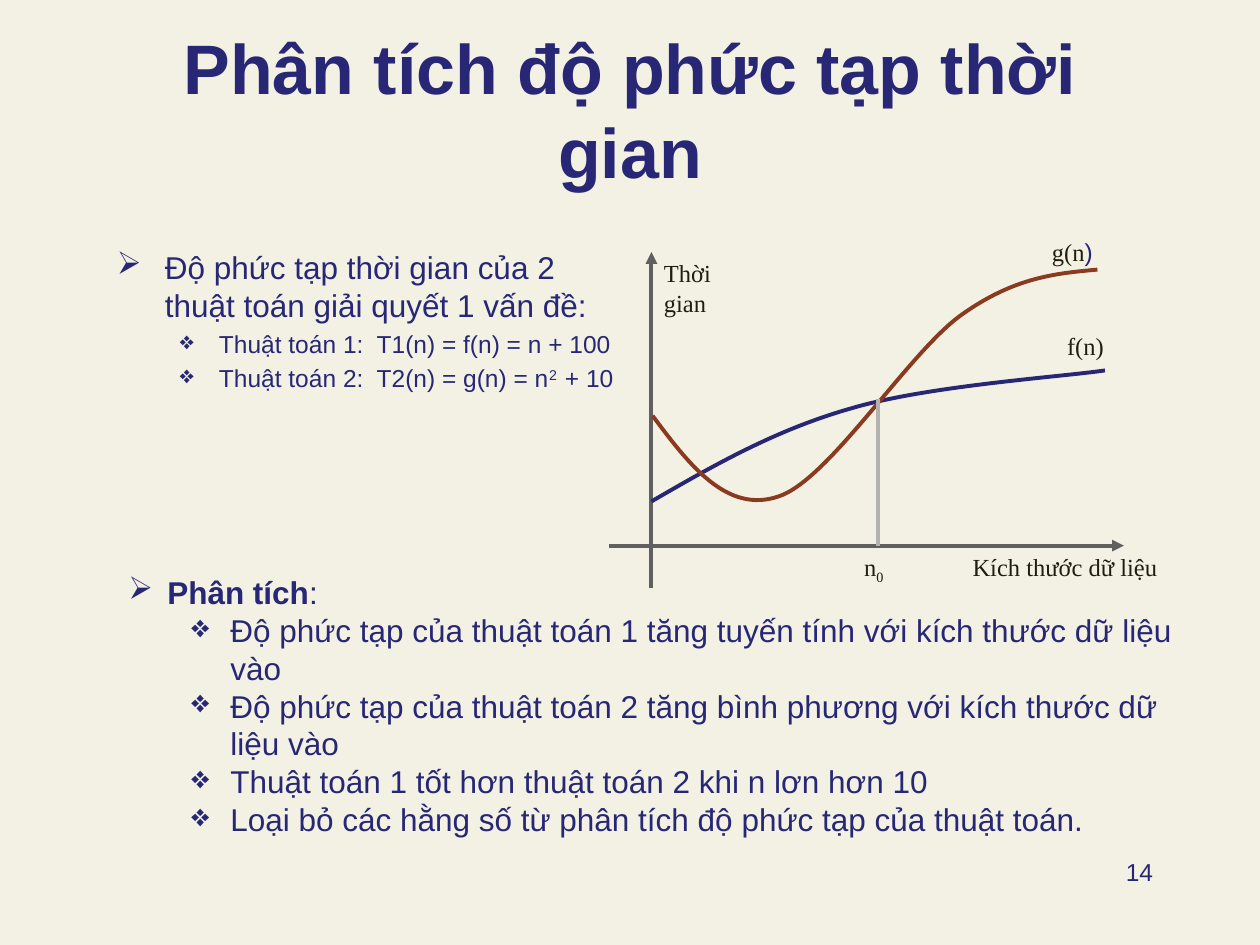
from lxml.etree import SubElement
from pptx import Presentation
from pptx.dml.color import RGBColor
from pptx.enum.shapes import MSO_CONNECTOR
from pptx.enum.text import MSO_ANCHOR, MSO_AUTO_SIZE, PP_ALIGN
from pptx.oxml.ns import qn
from pptx.util import Inches, Pt

BACKGROUND, NAVY, INK = "F3F1E4", "272776", "201E0E"
AXIS, BROWN, MARKER = "606060", "893A1F", "B2B2B2"
SERIF = "Times New Roman"
ARROW, DIAMOND = "➢", "❖"

ANALYSIS = [
    "Độ phức tạp của thuật toán 1 tăng tuyến tính với kích thước dữ liệu vào",
    "Độ phức tạp của thuật toán 2 tăng bình phương với kích thước dữ liệu vào",
    "Thuật toán 1 tốt hơn thuật toán 2 khi n lơn hơn 10",
    "Loại bỏ các hằng số từ phân tích độ phức tạp của thuật toán.",
]
# Start point, then two control points and an end point per Bézier segment
F_CURVE = [(5.17, 3.98), (5.67, 3.69), (6.16, 3.41), (6.76, 3.24),
           (7.37, 3.06), (8.44, 2.99), (8.77, 2.94)]
G_CURVE = [(5.18, 3.3), (5.47, 3.69), (5.77, 4.08), (6.18, 3.94),
           (6.58, 3.81), (7.21, 2.8), (7.63, 2.5),
           (8.05, 2.2), (8.38, 2.17), (8.71, 2.14)]


def color(hex_string):
    return RGBColor.from_string(hex_string)


def add_run(paragraph, text, size=14, font="Arial", fill=NAVY, bold=False, baseline=0):
    """Append a run; baseline is a percentage, positive for superscript."""
    run = paragraph.add_run()
    run.text = text
    run.font.size, run.font.name, run.font.bold = Pt(size), font, bold
    run.font.color.rgb = color(fill)
    if baseline:
        run.font._element.set("baseline", str(baseline * 1000))


def add_text_box(slide, left, top, width, height, wrap=True):
    box = slide.shapes.add_textbox(*map(Inches, (left, top, width, height)))
    box.text_frame.word_wrap = wrap
    return box.text_frame


def add_bullet(frame, character, runs, size, level=0, indent=0.31, before=0):
    """Add a bulleted paragraph from (text, format) pairs."""
    first = frame.paragraphs[0]
    paragraph = frame.add_paragraph() if first.runs else first
    paragraph.level = level
    paragraph.space_before = Pt(before)
    properties = paragraph._p.get_or_add_pPr()
    properties.set("marL", str(Inches(indent + 0.5 * level)))
    properties.set("indent", str(-Inches(indent)))
    bullet_color = SubElement(properties, qn("a:buClr"))
    SubElement(bullet_color, qn("a:srgbClr"), val=NAVY)
    SubElement(properties, qn("a:buChar"), char=character)
    for text, style in runs:
        add_run(paragraph, text, size=size, **style)


def add_label(slide, left, top, width, height, text, wrap=False):
    paragraph = add_text_box(slide, left, top, width, height, wrap).paragraphs[0]
    add_run(paragraph, text, font=SERIF, fill=INK)
    return paragraph


def style_line(line, stroke):
    line.color.rgb = color(stroke)
    line.width = Pt(2.25)


def add_line(slide, start, end, stroke, arrow=False):
    connector = slide.shapes.add_connector(
        MSO_CONNECTOR.STRAIGHT, *map(Inches, (*start, *end)))
    style_line(connector.line, stroke)
    if arrow:
        SubElement(connector.line._get_or_add_ln(), qn("a:tailEnd"), type="triangle")
    SubElement(connector._element.spPr, qn("a:effectLst"))


def add_curve(slide, points, stroke):
    """Draw an open path of cubic Bézier segments."""
    (start_x, start_y), *rest = [(Inches(x), Inches(y)) for x, y in points]
    builder = slide.shapes.build_freeform(start_x, start_y)
    builder.add_line_segments(rest, close=False)
    shape = builder.convert_to_shape()
    shape.shadow.inherit = False
    shape.fill.background()
    style_line(shape.line, stroke)
    outline = next(shape._element.iter(qn("a:path")))
    segments = outline.findall(qn("a:lnTo"))
    for index in range(0, len(segments), 3):
        cubic = SubElement(outline, qn("a:cubicBezTo"))
        for segment in segments[index:index + 3]:
            cubic.append(segment[0])
            outline.remove(segment)


def add_title(slide, text):
    title = slide.shapes.title
    title.left, title.top, title.width, title.height = map(Inches, (0.75, 0.5, 8.5, 1.08))
    frame = title.text_frame
    frame.auto_size = MSO_AUTO_SIZE.NONE
    frame.vertical_anchor = MSO_ANCHOR.BOTTOM
    frame.paragraphs[0].alignment = PP_ALIGN.CENTER
    add_run(frame.paragraphs[0], text, size=40, bold=True)


def add_algorithms(slide):
    frame = add_text_box(slide, 0.83, 1.92, 4.17, 2.71)
    heading = "Độ phức tạp thời gian của 2 thuật toán giải quyết 1 vấn đề:"
    add_bullet(frame, ARROW, [(heading, {})], 18, indent=0.38)
    linear = [("Thuật toán 1:  T1(n) = f(n) = n + 100", {})]
    quadratic = [("Thuật toán 2:  T2(n) = g(n) = n", {}),
                 ("2  ", {"baseline": 30}), ("+ 10", {})]
    for runs in (linear, quadratic):
        add_bullet(frame, DIAMOND, runs, 14, level=1, before=2.8)


def add_analysis(slide):
    frame = add_text_box(slide, 0.92, 4.5, 8.5, 2.22)
    add_bullet(frame, ARROW, [("Phân tích", {"bold": True}), (":", {})], 18)
    for text in ANALYSIS:
        add_bullet(frame, DIAMOND, [(text, {})], 18, level=1)


def add_graph(slide):
    add_line(slide, (5.17, 4.67), (5.17, 2), AXIS, arrow=True)
    add_line(slide, (4.83, 4.33), (8.92, 4.33), AXIS, arrow=True)
    add_curve(slide, F_CURVE, NAVY)
    add_curve(slide, G_CURVE, BROWN)
    add_line(slide, (6.97, 3.17), (6.97, 4.33), MARKER)
    add_label(slide, 5.17, 2, 0.79, 0.46, "Thời gian", wrap=True)
    add_label(slide, 7.62, 4.33, 1.69, 0.25, "Kích thước dữ liệu")
    add_run(add_label(slide, 8.25, 1.83, 0.55, 0.34, "g(n"), ")")
    add_label(slide, 8.37, 2.58, 0.49, 0.34, "f(n)")
    crossing = add_label(slide, 6.76, 4.33, 0.36, 0.34, "n")
    add_run(crossing, "0", font=SERIF, fill=INK, baseline=-25)


def add_page_number(slide, number):
    paragraph = add_text_box(slide, 7.17, 6.75, 2.08, 0.5).paragraphs[0]
    paragraph.alignment = PP_ALIGN.RIGHT
    add_run(paragraph, number)


def main():
    presentation = Presentation()
    presentation.slide_width, presentation.slide_height = Inches(10), Inches(7.5)
    slide = presentation.slides.add_slide(presentation.slide_layouts[5])
    slide.background.fill.solid()
    slide.background.fill.fore_color.rgb = color(BACKGROUND)
    add_title(slide, "Phân tích độ phức tạp thời gian")
    add_algorithms(slide)
    add_analysis(slide)
    add_page_number(slide, "14")
    add_graph(slide)
    presentation.save("out.pptx")


if __name__ == "__main__":
    main()
